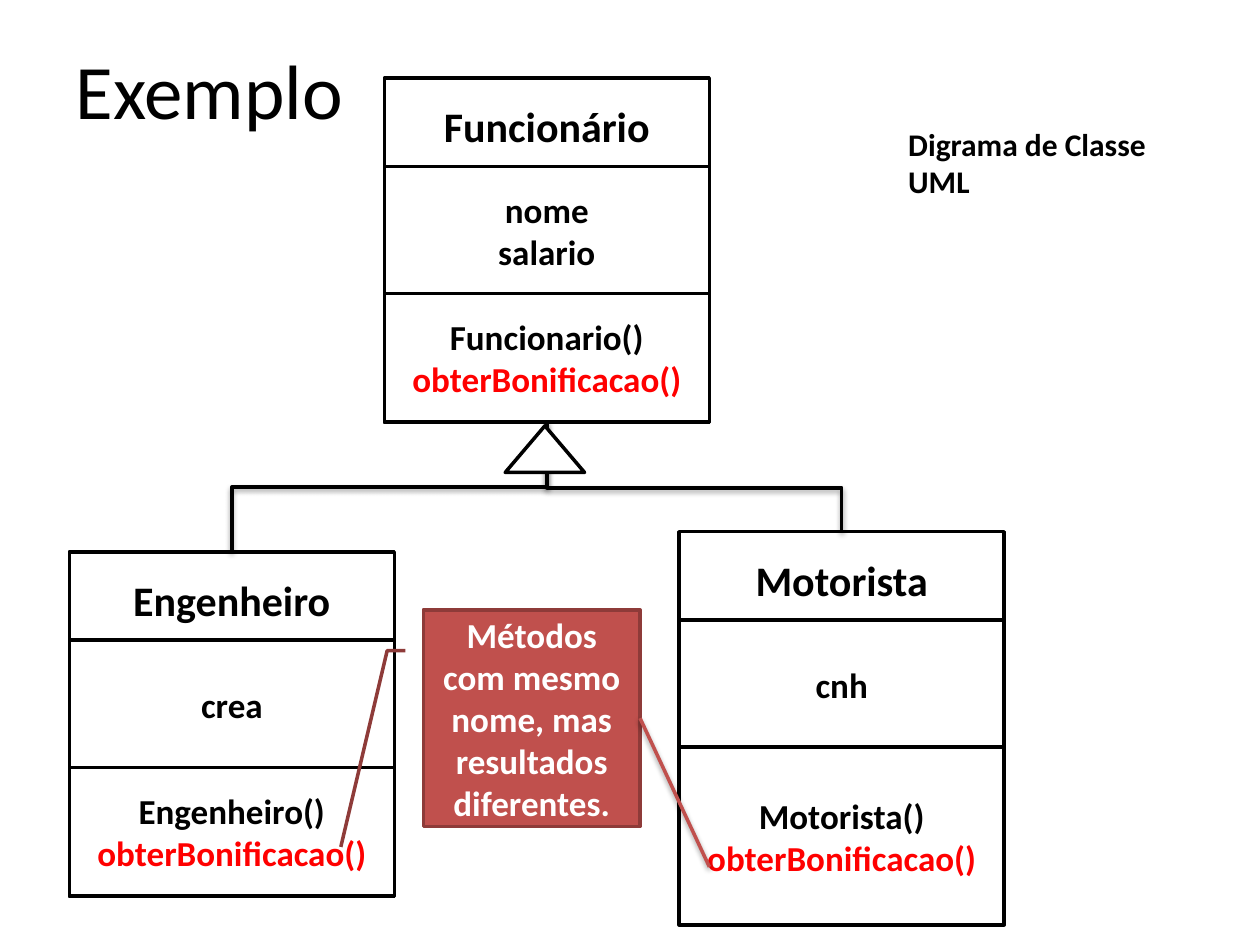
import lxml.etree
import pptx
import pptx.dml.color
import pptx.enum.shapes
import pptx.enum.text
import pptx.oxml
import pptx.oxml.ns
import pptx.util

Inches = pptx.util.Inches
SHAPES = pptx.enum.shapes.MSO_SHAPE
CONNECTORS = pptx.enum.shapes.MSO_CONNECTOR
ALIGN = pptx.enum.text.PP_ALIGN
ANCHOR = pptx.enum.text.MSO_ANCHOR

COLORS = {
    "ink": "000000",
    "paper": "FFFFFF",
    "method": "FF0000",
    "note": "C0504D",
    "note_line": "8E3B39",
}
TITLE_FONT = {"name": "Calibri", "size": pptx.util.Pt(44), "bold": False}
NAME_FONT = {"name": "Calibri", "size": pptx.util.Pt(24), "bold": True}
MEMBER_FONT = {"name": "Calibri", "size": pptx.util.Pt(20), "bold": True}
CAPTION_FONT = {"name": "Calibri", "size": pptx.util.Pt(18), "bold": True}

CLASS_WIDTH = 2.58
NAME_HEIGHT = 0.7
ATTRIBUTE_HEIGHT = 1.02
SHADOW = (
    '<a:effectLst xmlns:a="http://schemas.openxmlformats.org/drawingml/2006/main">'
    '<a:outerShdw blurRad="40000" dist="20000" dir="5400000" rotWithShape="0">'
    '<a:srgbClr val="000000"><a:alpha val="38000"/></a:srgbClr>'
    "</a:outerShdw></a:effectLst>"
)


def rgb(color):
    """Return the named colour."""
    return pptx.dml.color.RGBColor.from_string(COLORS[color])


def write(shape, lines, font, align=ALIGN.CENTER):
    """Write (text, colour) pairs as the paragraphs of a shape."""
    frame = shape.text_frame
    frame.word_wrap = True
    for index, (text, color) in enumerate(lines):
        paragraph = frame.paragraphs[0] if index == 0 else frame.add_paragraph()
        paragraph.alignment = align
        run = paragraph.add_run()
        run.text = text
        for attribute, value in font.items():
            setattr(run.font, attribute, value)
        run.font.color.rgb = rgb(color)


def add_box(slide, kind, box, fill="paper", line="ink"):
    """Add a filled and outlined preset shape."""
    shape = slide.shapes.add_shape(kind, *map(Inches, box))
    shape.shadow.inherit = False
    shape.fill.solid()
    shape.fill.fore_color.rgb = rgb(fill)
    shape.line.color.rgb = rgb(line)
    shape.line.width = pptx.util.Pt(2)
    shape.text_frame.vertical_anchor = ANCHOR.MIDDLE
    return shape


def add_line(slide, kind, begin, end, color):
    """Add a shadowed connector."""
    connector = slide.shapes.add_connector(kind, *map(Inches, (*begin, *end)))
    connector.line.color.rgb = rgb(color)
    connector.line.width = pptx.util.Pt(2)
    connector._element.spPr.append(pptx.oxml.parse_xml(SHADOW))
    return connector


def add_branch(slide, begin, end, bend):
    """Add an elbow that leaves downwards and turns at the bend fraction."""
    center_x, center_y = (begin[0] + end[0]) / 2, (begin[1] + end[1]) / 2
    half_run, half_rise = (end[1] - begin[1]) / 2, abs(end[0] - begin[0]) / 2
    rightward = end[0] > begin[0]
    side = -1 if rightward else 1
    connector = add_line(
        slide,
        CONNECTORS.ELBOW,
        (center_x - side * half_run, center_y - half_rise),
        (center_x + side * half_run, center_y + half_rise),
        "ink",
    )
    properties = connector._element.spPr
    properties.find(pptx.oxml.ns.qn("a:xfrm")).set("rot", str((270 if rightward else 90) * 60000))
    guides = properties.find(".//" + pptx.oxml.ns.qn("a:avLst"))
    guide = lxml.etree.SubElement(guides, pptx.oxml.ns.qn("a:gd"))
    guide.set("name", "adj1")
    guide.set("fmla", f"val {round(bend * 100000)}")


def add_class(slide, left, top, name, attributes, constructor, method_height=1.02):
    """Add a class with its name, attribute and method compartments."""
    frame = add_box(slide, SHAPES.RECTANGLE, (left, top, CLASS_WIDTH, 2.73))
    frame.text_frame.vertical_anchor = ANCHOR.TOP
    frame.text_frame.margin_top = Inches(0.18)
    write(frame, [(name, "ink")], NAME_FONT)
    methods = [(constructor, "ink"), ("obterBonificacao()", "method")]
    compartments = [
        (ATTRIBUTE_HEIGHT, [(attribute, "ink") for attribute in attributes]),
        (method_height, methods),
    ]
    row_top = top + NAME_HEIGHT
    for height, lines in compartments:
        row = add_box(slide, SHAPES.RECTANGLE, (left, row_top, CLASS_WIDTH, height))
        write(row, lines, MEMBER_FONT)
        row_top += ATTRIBUTE_HEIGHT - 0.01


def add_inheritance(slide, begin, children):
    """Join the parent class to its children, with a triangle at the parent."""
    for end, bend in children:
        add_branch(slide, begin, end, bend)
    add_box(slide, SHAPES.ISOSCELES_TRIANGLE, (begin[0] - 0.33, begin[1] + 0.03, 0.63, 0.37))


def add_note(slide, box):
    """Add the callout about the shared method."""
    note = add_box(slide, SHAPES.LINE_CALLOUT_2, box, "note", "note_line")
    for index, value in enumerate((0.188, -0.083, 0.188, -0.167, 1.094, -0.381)):
        note.adjustments[index] = value
    text = "Métodos com mesmo nome, mas resultados diferentes."
    write(note, [(text, "paper")], MEMBER_FONT)


def add_title(slide, box):
    """Place the slide title."""
    title = slide.shapes.title
    title.left, title.top, title.width, title.height = map(Inches, box)
    title.text_frame.vertical_anchor = ANCHOR.MIDDLE
    write(title, [("Exemplo", "ink")], TITLE_FONT, ALIGN.LEFT)


def add_caption(slide, box):
    """Add the diagram caption."""
    caption = slide.shapes.add_textbox(*map(Inches, box))
    write(caption, [("Digrama de Classe", "ink"), ("UML", "ink")], CAPTION_FONT, ALIGN.LEFT)


def main():
    """Build and save the class diagram slide."""
    presentation = pptx.Presentation()
    presentation.slide_width, presentation.slide_height = Inches(10), Inches(7.5)
    slide = presentation.slides.add_slide(presentation.slide_layouts[5])
    add_title(slide, (0.5, 0.08, 9, 1.25))
    add_class(slide, 3.05, 0.62, "Funcionário", ["nome", "salario"], "Funcionario()")
    add_class(slide, 0.55, 4.38, "Engenheiro", ["crea"], "Engenheiro()")
    add_class(slide, 5.39, 4.22, "Motorista", ["cnh"], "Motorista()", 1.41)
    add_inheritance(slide, (4.34, 3.35), [((1.84, 4.38), 0.5), ((6.68, 4.22), 0.6)])
    add_note(slide, (3.36, 4.84, 1.72, 1.72))
    add_caption(slide, (7.11, 0.94, 2.46, 0.71))
    add_line(slide, CONNECTORS.STRAIGHT, (5.08, 5.7), (5.63, 6.88), "note")
    presentation.save("out.pptx")


if __name__ == "__main__":
    main()
